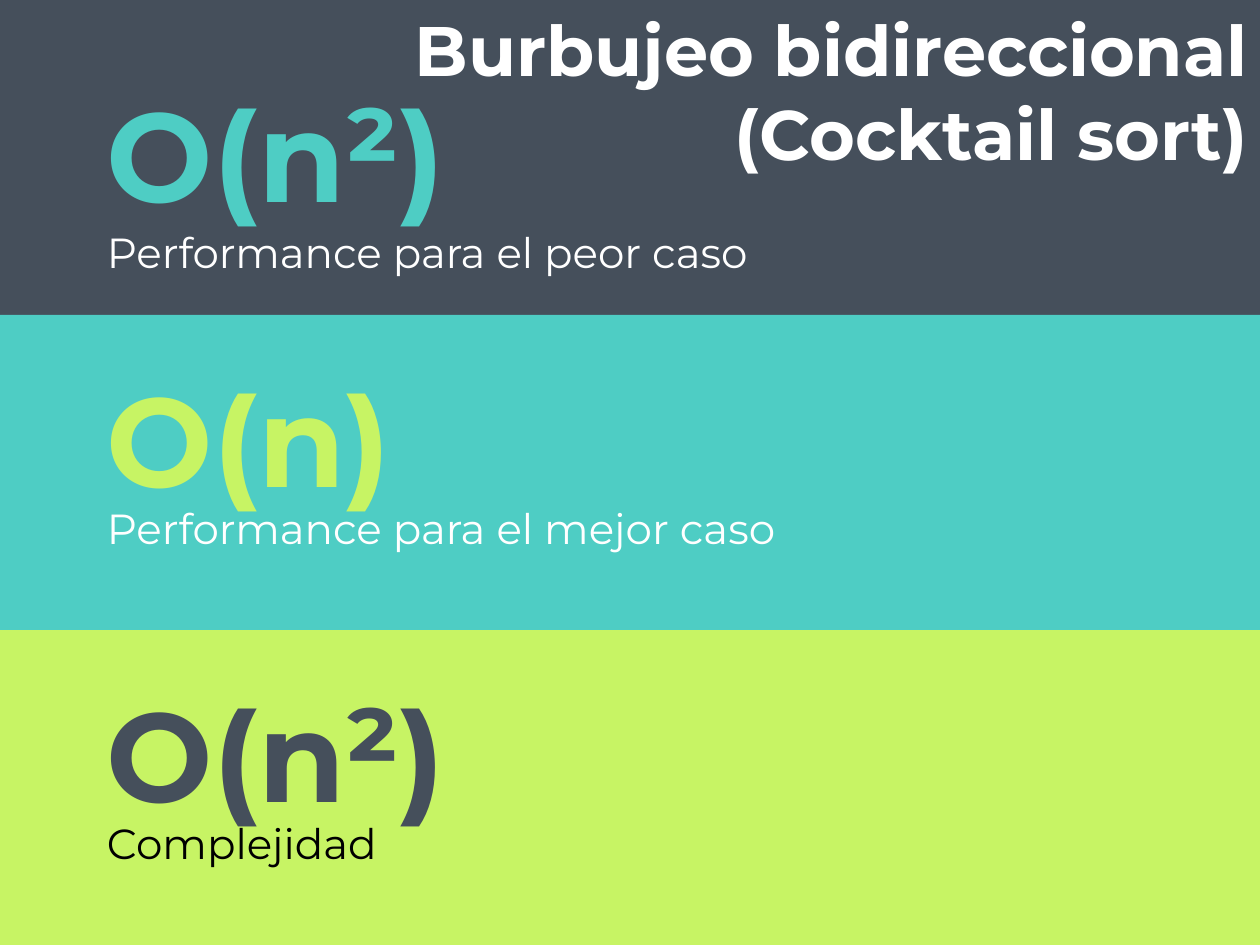
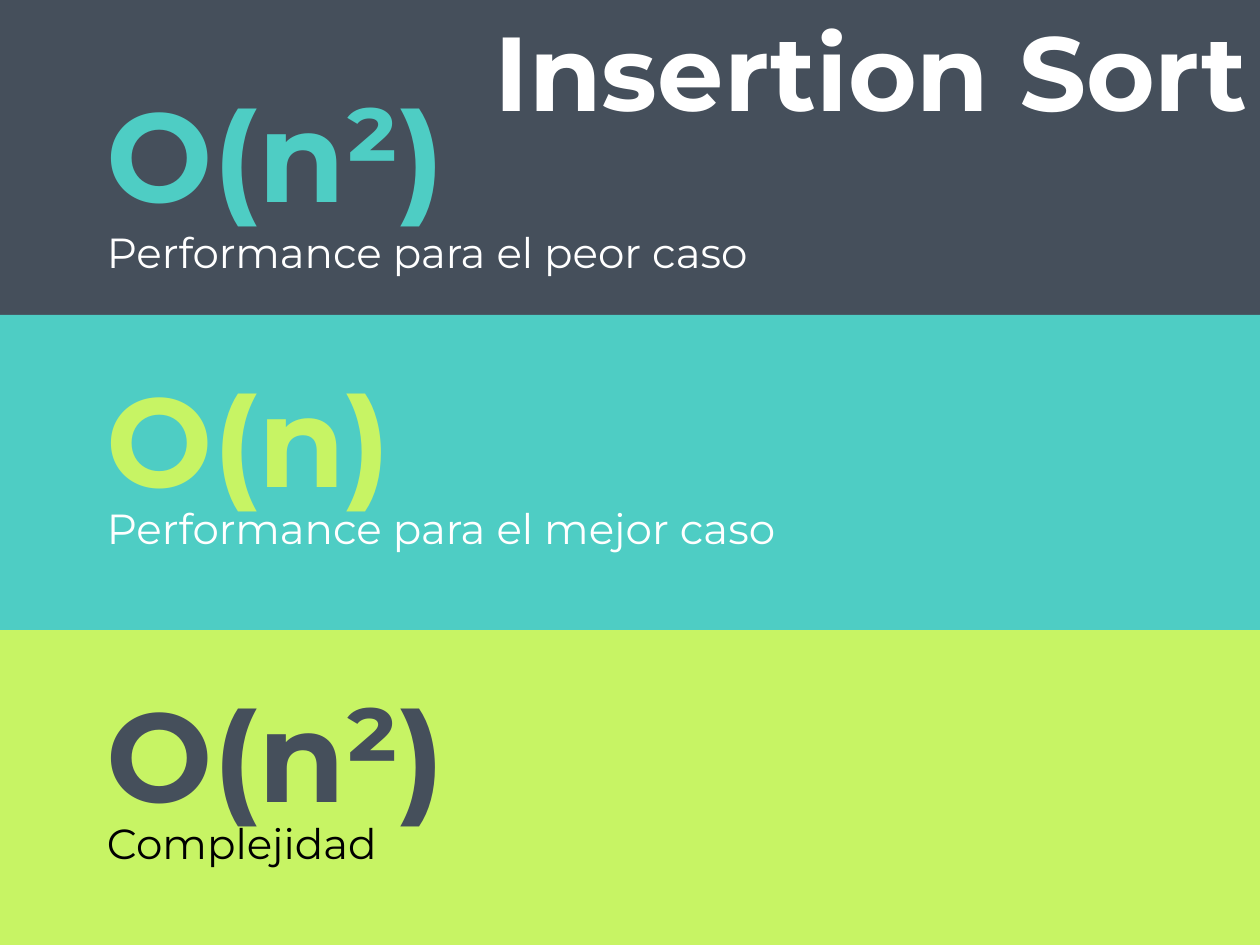
from dataclasses import dataclass

from pptx import Presentation
from pptx.dml.color import RGBColor
from pptx.enum.shapes import MSO_SHAPE as Shape
from pptx.enum.text import MSO_ANCHOR as Anchor, MSO_AUTO_SIZE as AutoSize, PP_ALIGN as Align
from pptx.util import Inches, Pt


@dataclass(frozen=True)
class Theme:
    """Colours, font and type sizes shared by every slide."""
    slate: str = "454F5B"
    teal: str = "4ECDC4"
    lime: str = "C7F464"
    white: str = "FFFFFF"
    black: str = "000000"
    font: str = "Montserrat"
    figure_size: int = 72
    caption_size: int = 24
    long_title_size: int = 40
    short_title_size: int = 60


@dataclass(frozen=True)
class Measure:
    """One complexity figure with its caption, placed from the top of its band."""
    figure: str
    caption: str
    figure_color: str
    caption_color: str
    figure_offset: float = 0.36
    caption_offset: float = 1.39


THEME = Theme()
SLIDE_WIDTH, SLIDE_HEIGHT = 10, 7.5
BAND_HEIGHT = SLIDE_HEIGHT / 3
MEASURES = (
    Measure("O(n²)", "Performance para el peor caso", THEME.teal, THEME.white, 0.6, 1.7),
    Measure("O(n)", "Performance para el mejor caso", THEME.lime, THEME.white),
    Measure("O(n²)", "Complejidad", THEME.slate, THEME.black),
)
ALGORITHMS = (
    ("Burbujeo bidireccional\n(Cocktail sort)", THEME.long_title_size, 1.45),
    ("Insertion Sort", THEME.short_title_size, 1.11),
)


def place(box, left, top, width, height):
    """Move and size a box, given in inches."""
    box.left, box.top = Inches(left), Inches(top)
    box.width, box.height = Inches(width), Inches(height)


def write_text(box, text, *, size, color, bold=False, align=Align.LEFT,
               anchor=Anchor.TOP, inset=0.1):
    """Fill a box with formatted text, one paragraph per line."""
    frame = box.text_frame
    frame.text = text
    frame.word_wrap = True
    frame.auto_size = AutoSize.NONE
    frame.vertical_anchor = anchor
    frame.margin_left = frame.margin_right = Inches(0.1)
    frame.margin_top = frame.margin_bottom = Inches(inset)
    for para in frame.paragraphs:
        para.alignment = align
        for span in para.runs:
            span.font.name = THEME.font
            span.font.size = Pt(size)
            span.font.bold = bold
            span.font.color.rgb = RGBColor.from_string(color)


def add_band(page, row, color):
    """Add a full-width colour band in the given row."""
    band = page.shapes.add_shape(Shape.RECTANGLE, 0, Inches(row * BAND_HEIGHT),
                                 Inches(SLIDE_WIDTH), Inches(BAND_HEIGHT))
    band.shadow.inherit = False
    band.fill.solid()
    band.fill.fore_color.rgb = RGBColor.from_string(color)
    band.line.fill.background()


def add_text(page, text, top, height, **style):
    """Add a text box in the shared text column."""
    box = page.shapes.add_textbox(Inches(0.75), Inches(top), Inches(8.5), Inches(height))
    write_text(box, text, **style)


def add_measure(page, row, measure):
    """Add a large figure and the caption below it."""
    band_top = row * BAND_HEIGHT
    add_text(page, measure.figure, band_top + measure.figure_offset, 1.31,
             size=THEME.figure_size, color=measure.figure_color, bold=True,
             anchor=Anchor.BOTTOM)
    add_text(page, measure.caption, band_top + measure.caption_offset, 0.68,
             size=THEME.caption_size, color=measure.caption_color)


def set_title(page, text, size, height):
    """Set the slide title at the top right, in front of the bands."""
    title = page.shapes.title
    place(title, 3.15, 0, 6.85, height)
    write_text(title, text, size=size, color=THEME.white, bold=True,
               align=Align.RIGHT, inset=0.05)
    title.element.getparent().append(title.element)


def add_complexity_slide(deck, title, title_size, title_height):
    """Add a slide with the complexity of one sorting algorithm."""
    page = deck.slides.add_slide(deck.slide_layouts.get_by_name("Title Only"))
    page.background.fill.solid()
    page.background.fill.fore_color.rgb = RGBColor.from_string(THEME.lime)
    for row, color in enumerate((THEME.slate, THEME.teal)):
        add_band(page, row, color)
    for row, measure in enumerate(MEASURES):
        add_measure(page, row, measure)
    set_title(page, title, title_size, title_height)


def main():
    """Build and save the deck."""
    deck = Presentation()
    deck.slide_width, deck.slide_height = Inches(SLIDE_WIDTH), Inches(SLIDE_HEIGHT)
    for title, title_size, title_height in ALGORITHMS:
        add_complexity_slide(deck, title, title_size, title_height)
    deck.save("out.pptx")


if __name__ == "__main__":
    main()
